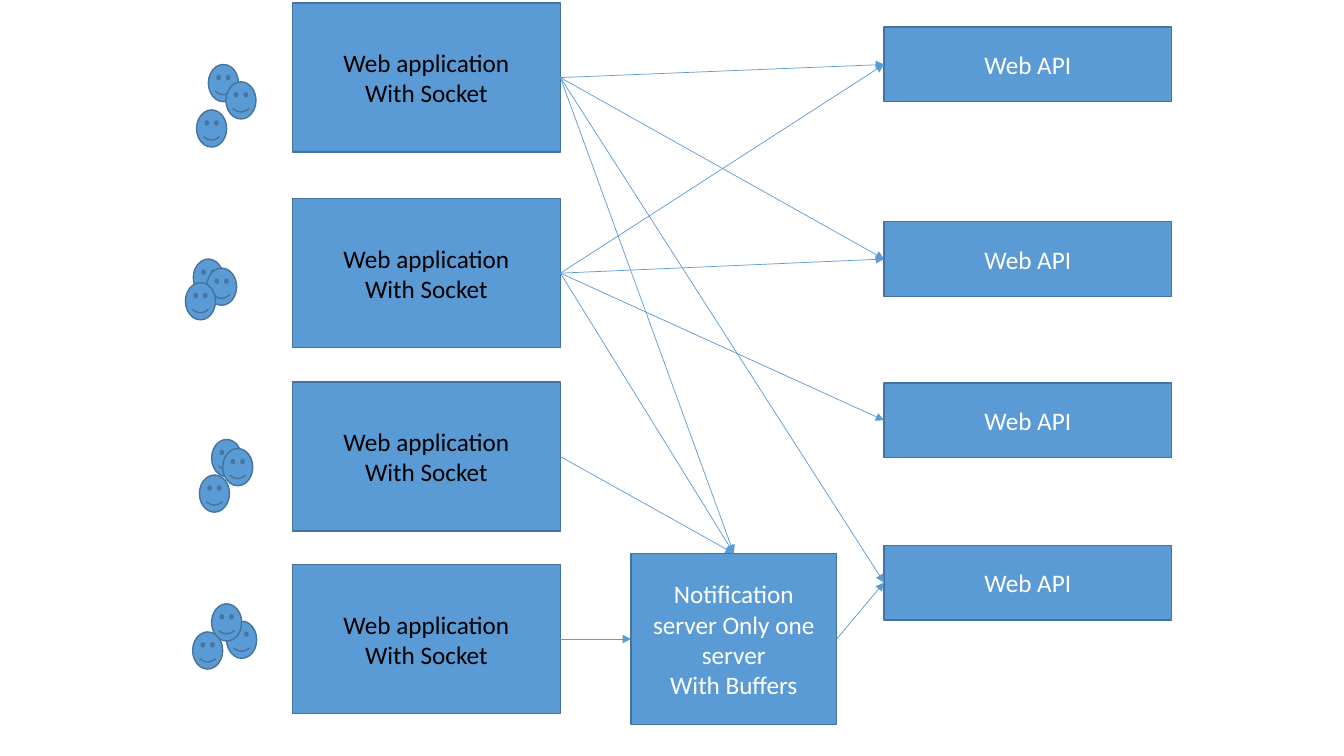
from pptx import Presentation
from pptx.dml.color import RGBColor
from pptx.enum.shapes import MSO_CONNECTOR, MSO_SHAPE
from pptx.enum.text import MSO_ANCHOR, PP_ALIGN
from pptx.oxml.ns import qn
from pptx.util import Inches, Pt
from lxml.etree import SubElement

BLUE, EDGE, BLACK, WHITE = "5B9BD5", "43739E", "000000", "FFFFFF"
TOP, LEFT, RIGHT = 0, 1, 3  # connection sites of a rectangle

# Boxes are (left, top, width, height) in percent of the slide
APP_COLUMN = (21.75, 0, 19.95, 100)
API_COLUMN = (65.78, 0, 21.38, 100)
USER_COLUMN = (13.8, 0, 5.33, 100)
SERVER_BOX = (46.95, 73.2, 15.3, 22.67)

# Tops and heights in percent of the column
APP_TOPS, APP_HEIGHT = (0.4, 26.27, 50.53, 74.67), 19.73
API_TOPS, API_HEIGHT = (3.6, 29.33, 50.67, 72.13), 9.87
CROWD_TOPS, CROWD_HEIGHT = (8.53, 34.27, 58.13, 79.87), 10.93

# Left and top of each face in percent of its crowd, back to front
FACE_SIZE = (42, 45)
CROWD_FACES = (
    ((32, 0), (56.5, 21), (15.5, 55)),
    ((11, 0), (29.5, 11), (0, 28.5)),
    ((36.5, 0), (52, 11), (19.5, 43)),
    ((57.5, 21), (36.5, 0), (10, 34)),
)

# Which APIs each application calls directly
API_CALLS = {0: (0, 1, 3), 1: (0, 1, 2)}


def color(hex_code):
    return RGBColor.from_string(hex_code)


def inside(box, x, y, w, h):
    """Turn percents of a box into percents of the slide."""
    left, top, width, height = box
    return (left + width * x / 100, top + height * y / 100,
            width * w / 100, height * h / 100)


def add_part(kind, box):
    x, y, w, h = box
    sp = s.shapes.add_shape(
        kind, int(prs.slide_width * x / 100), int(prs.slide_height * y / 100),
        int(prs.slide_width * w / 100), int(prs.slide_height * h / 100))
    sp.shadow.inherit = False
    sp.fill.solid()
    sp.fill.fore_color.rgb = color(BLUE)
    sp.line.color.rgb = color(EDGE)
    sp.line.width = Pt(1)
    return sp


def add_node(box, lines, font_color):
    sp = add_part(MSO_SHAPE.RECTANGLE, box)
    tf = sp.text_frame
    tf.word_wrap = True
    tf.vertical_anchor = MSO_ANCHOR.MIDDLE
    for i, line in enumerate(lines):
        p = tf.add_paragraph() if i else tf.paragraphs[0]
        p.alignment = PP_ALIGN.CENTER
        r = p.add_run()
        r.text = line
        r.font.name, r.font.size = "Calibri", Pt(18)
        r.font.color.rgb = color(font_color)
    return sp


def add_column(column, tops, height, lines, font_color):
    return [add_node(inside(column, 0, top, 100, height), lines, font_color)
            for top in tops]


def add_users(column):
    for top, faces in zip(CROWD_TOPS, CROWD_FACES):
        crowd = inside(column, 0, top, 100, CROWD_HEIGHT)
        for x, y in faces:
            add_part(MSO_SHAPE.SMILEY_FACE, inside(crowd, x, y, *FACE_SIZE))


def add_arrow(source, target, site):
    c = s.shapes.add_connector(MSO_CONNECTOR.STRAIGHT, 0, 0, 0, 0)
    c.begin_connect(source, RIGHT)
    c.end_connect(target, site)
    c.line.color.rgb = color(BLUE)
    c.line.width = Pt(0.5)
    sp_pr = c._element.spPr
    SubElement(sp_pr.find(qn("a:ln")), qn("a:tailEnd"), type="triangle")
    SubElement(sp_pr, qn("a:effectLst"))


def add_calls(apps, apis, server):
    # Straight to the APIs
    for app, targets in API_CALLS.items():
        for api in targets:
            add_arrow(apps[app], apis[api], LEFT)
    # Through the server: the last application stands beside it
    *upper_apps, last_app = apps
    for app in upper_apps:
        add_arrow(app, server, TOP)
    add_arrow(last_app, server, LEFT)
    add_arrow(server, apis[-1], LEFT)


prs = Presentation()
prs.slide_width, prs.slide_height = Inches(13.33), Inches(7.5)
s = prs.slides.add_slide(prs.slide_layouts[6])

apps = add_column(APP_COLUMN, APP_TOPS, APP_HEIGHT,
                  ("Web application", "With Socket"), BLACK)
apis = add_column(API_COLUMN, API_TOPS, API_HEIGHT, ("Web API",), WHITE)
add_users(USER_COLUMN)
server = add_node(SERVER_BOX, ("Notification server Only one server",
                               "With Buffers"), WHITE)
add_calls(apps, apis, server)

prs.save("out.pptx")
